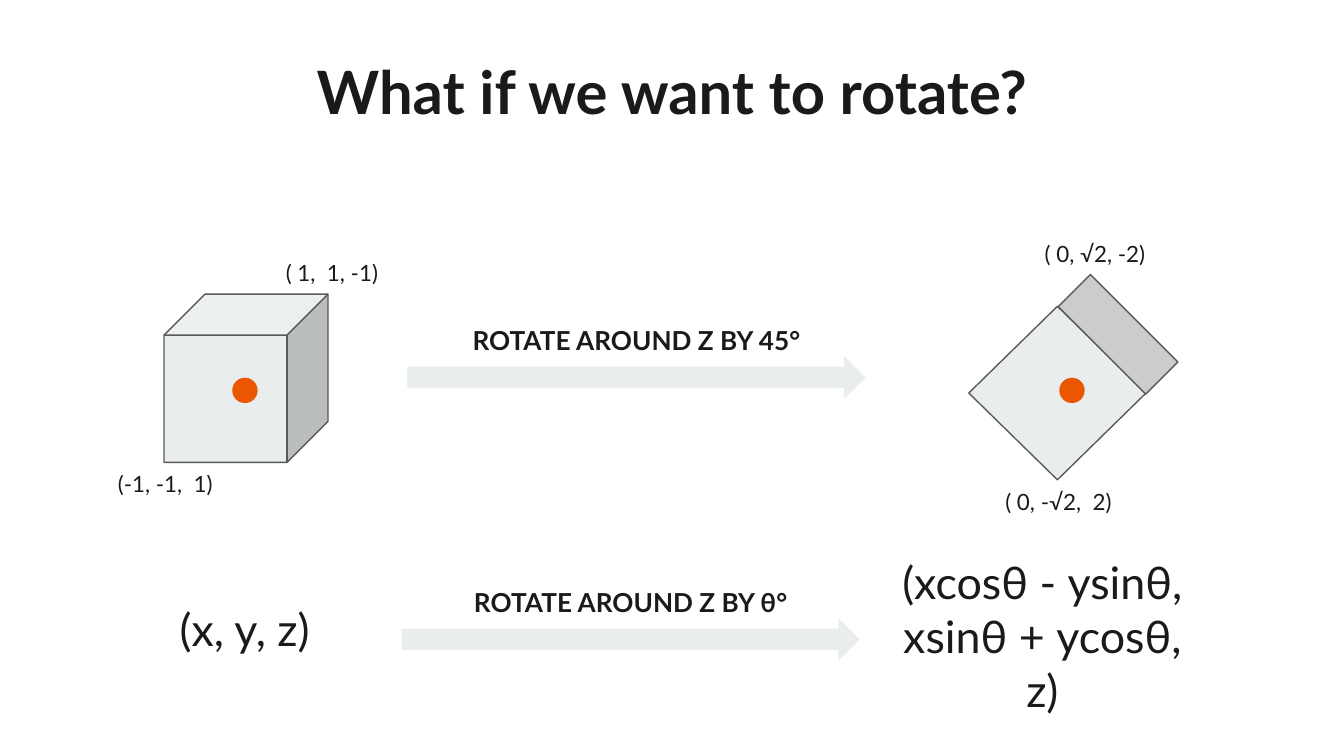
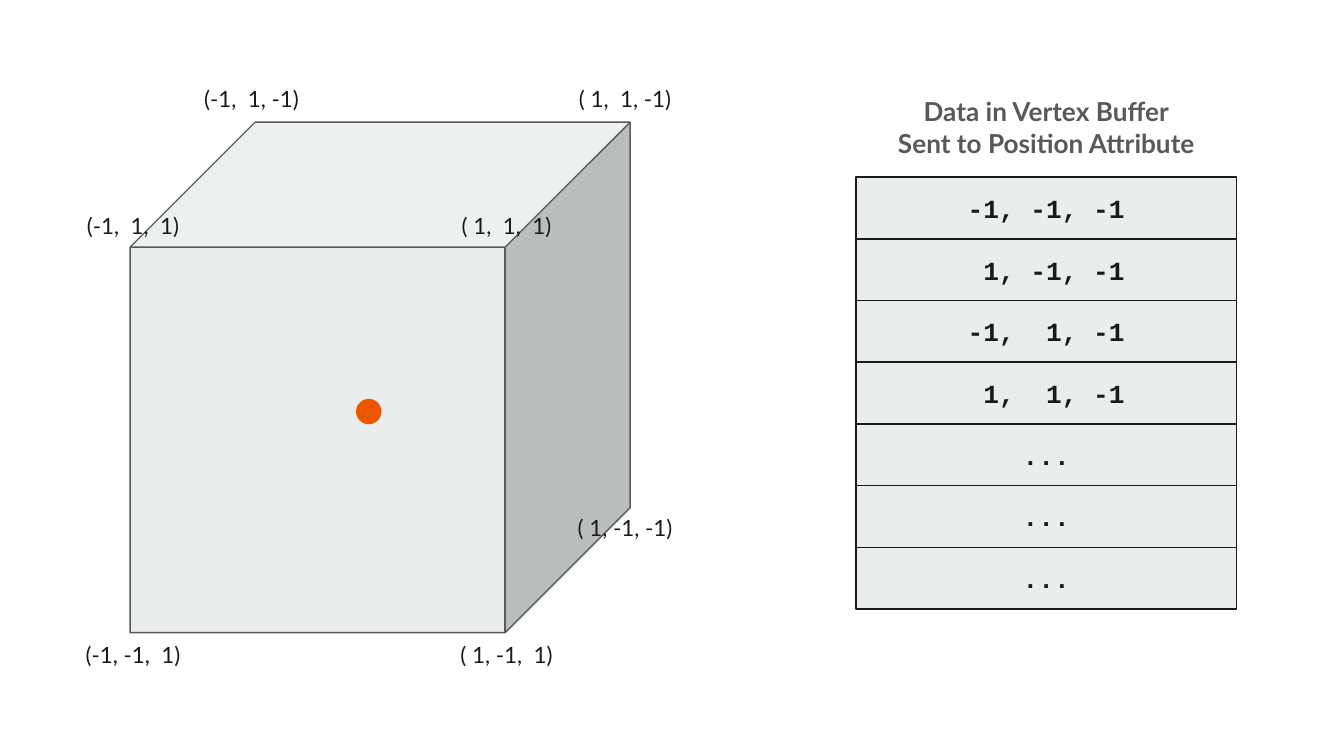
"""Build two slides on rotating a cube and storing its vertices."""
from itertools import product

from pptx import Presentation
from pptx.dml.color import RGBColor
from pptx.enum.shapes import MSO_SHAPE as SHAPE
from pptx.enum.text import MSO_ANCHOR as ANCHOR, PP_ALIGN as ALIGN
from pptx.util import Cm, Pt

INK = RGBColor(0x1A, 0x1A, 0x1A)
GRAY = RGBColor(0x59, 0x59, 0x59)
PALE = RGBColor(0xE9, 0xED, 0xEE)
SHADE = RGBColor(0xCC, 0xCC, 0xCC)
ORANGE = RGBColor(0xEB, 0x56, 0x00)
SANS, MONO = "Lato", "Courier New"


def write(tf, text, size=12, font=SANS, color=INK, bold=False, anchor=ANCHOR.MIDDLE):
    """Fill a text frame with centred paragraphs, one per line of text."""
    tf.word_wrap = True
    tf.vertical_anchor = anchor
    tf.margin_left = tf.margin_right = tf.margin_top = tf.margin_bottom = Cm(0.25)
    for i, line in enumerate(text.split("\n")):
        p = tf.add_paragraph() if i else tf.paragraphs[0]
        p.alignment = ALIGN.CENTER
        r = p.add_run()
        r.text = line
        r.font.name, r.font.size, r.font.bold = font, Pt(size), bold
        r.font.color.rgb = color


def triple(x, y, z):
    """Format a vertex with its signs lined up."""
    return f"{x:2}, {y:2}, {z:2}"


class Deck:
    """Hold the presentation, its style and the current slide."""

    def __init__(self):
        self.prs = Presentation()
        self.prs.slide_width, self.prs.slide_height = Cm(25.4), Cm(14.29)
        self.s = None

    def new_slide(self):
        """Start a blank slide."""
        self.s = self.prs.slides.add_slide(self.prs.slide_layouts[6])

    def text(self, text, x, y, w, h, **fmt):
        """Add a text box."""
        box = self.s.shapes.add_textbox(Cm(x), Cm(y), Cm(w), Cm(h))
        write(box.text_frame, text, **fmt)

    def shape(self, kind, x, y, w, h, fill=PALE, line=None):
        """Add a flat preset shape, outlined if a line colour is given."""
        sp = self.s.shapes.add_shape(kind, Cm(x), Cm(y), Cm(w), Cm(h))
        sp.shadow.inherit = False
        sp.fill.solid()
        sp.fill.fore_color.rgb = fill
        if line is None:
            sp.line.fill.background()
        else:
            sp.line.color.rgb = line
            sp.line.width = Pt(0.75)
        return sp

    def title(self, text):
        """Add the slide title."""
        self.text(text, 3.96, 0.79, 17.48, 1.85, size=32, bold=True, anchor=ANCHOR.TOP)

    def label(self, text, x, y, w=2.39):
        """Add a small coordinate label."""
        self.text(text, x, y, w, 0.81)

    def arrow(self, caption, x, y):
        """Add a block arrow with its caption above."""
        w = 8.66
        self.shape(SHAPE.RIGHT_ARROW, x, y, w, 0.81)
        self.text(caption, x, y - 0.79, w, 0.97, size=14, bold=True)

    def cube(self, x, y, w, h):
        """Add a cube seen from the front."""
        self.shape(SHAPE.CUBE, x, y, w, h, line=GRAY)

    def dot(self, x, y):
        """Mark the centre of a solid."""
        self.shape(SHAPE.OVAL, x, y, 0.48, 0.48, fill=ORANGE)

    def stack(self, rows, x, y, w, h):
        """Add a column of equal memory cells."""
        pitch = h / len(rows)
        for i, row in enumerate(rows):
            sp = self.shape(SHAPE.RECTANGLE, x, y + i * pitch, w, pitch, line=INK)
            write(sp.text_frame, row, size=14, font=MONO, bold=True)


def rotation_slide(deck):
    """Show a cube turning around the z axis and the general rule."""
    deck.new_slide()
    deck.title("What if we want to rotate?")
    deck.label("(-1, -1,  1)", 1.93, 8.74)
    deck.label("( 1,  1, -1)", 5.08, 4.75)
    deck.label("( 0, -√2,  2)", 18.57, 9.07, 2.87)
    deck.label("( 0, √2, -2)", 19.35, 4.39, 2.69)
    deck.arrow("ROTATE AROUND Z BY 45°", 7.7, 6.73)
    deck.arrow("ROTATE AROUND Z BY θ°", 7.59, 11.68)
    deck.shape(SHAPE.DIAMOND, 18.31, 5.79, 3.35, 3.28, line=GRAY)
    side = deck.shape(SHAPE.RECTANGLE, 19.96, 5.89, 2.34, 0.86, fill=SHADE, line=GRAY)
    side.rotation = 45
    deck.cube(3.1, 5.56, 3.1, 3.18)
    deck.text("(x, y, z)", 2.44, 11.15, 4.37, 1.47, size=24)
    deck.text("(xcosθ - ysinθ, xsinθ + ycosθ, z)", 16.74, 10.95, 5.92, 2.13, size=24)
    for x in (4.39, 20.02):
        deck.dot(x, 7.14)


def vertex_slide(deck):
    """Show the labelled cube beside its vertex buffer."""
    deck.new_slide()
    deck.cube(2.46, 2.31, 9.45, 9.65)
    left, top, width, height, depth = 1.32, 3.86, 7.06, 8.1, (2.24, -2.4)
    for x, y, z in product((-1, 1), repeat=3):
        if (x, y, z) != (-1, -1, -1):
            dx, dy = depth if z < 0 else (0, 0)
            deck.label(f"({triple(x, y, z)})",
                       left + width * (x > 0) + dx, top + height * (y < 0) + dy)
    deck.dot(6.73, 7.54)
    deck.text("Data in Vertex Buffer\nSent to Position Attribute", 16.08, 1.45, 7.39, 1.9,
              size=14, color=GRAY, bold=True)
    rows = [triple(x, y, -1) for y, x in product((-1, 1), repeat=2)] + ["..."] * 3
    deck.stack(rows, 16.18, 3.35, 7.19, 8.16)


def main():
    """Build and save the deck."""
    deck = Deck()
    rotation_slide(deck)
    vertex_slide(deck)
    deck.prs.save("out.pptx")


if __name__ == "__main__":
    main()
